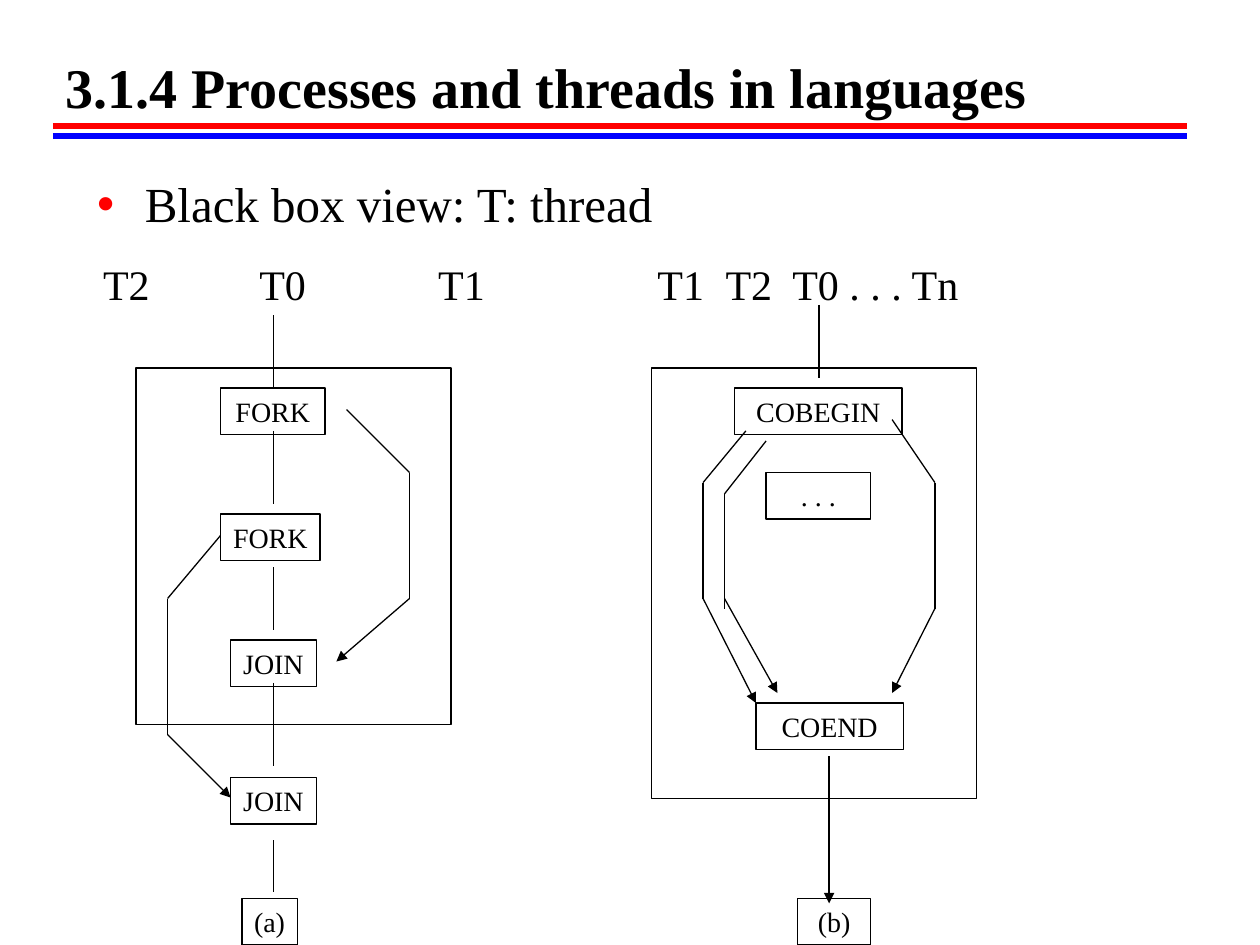
from itertools import pairwise

from lxml.etree import SubElement
from pptx import Presentation
from pptx.dml.color import RGBColor
from pptx.enum.shapes import MSO_CONNECTOR, MSO_SHAPE
from pptx.enum.text import MSO_ANCHOR, MSO_AUTO_SIZE, PP_ALIGN
from pptx.oxml.ns import qn
from pptx.util import Inches, Pt

BLACK = RGBColor(0x00, 0x00, 0x00)
RED = RGBColor(0xFF, 0x00, 0x00)
BLUE = RGBColor(0x00, 0x00, 0xFF)
FONT = "Times New Roman"
BOX_HEIGHT = 0.37

# Boxes: label, left, top, width
FORK_JOIN_BOXES = [
    ("FORK", 1.75, 3.08, 0.83),
    ("FORK", 1.75, 4.08, 0.79),
    ("JOIN", 1.83, 5.08, 0.68),
    ("JOIN", 1.83, 6.17, 0.68),
    ("(a)", 1.92, 7.13, 0.44),
]
COBEGIN_BOXES = [
    ("COBEGIN", 5.83, 3.08, 1.33),
    (". . .", 6.08, 3.75, 0.83),
    ("COEND", 6, 5.58, 1.17),
    ("(b)", 6.33, 7.13, 0.58),
]

# Main thread of the left diagram: x, then start and end of each piece
MAIN_X = 2.17
MAIN_PIECES = [(2.5, 3.08), (3.42, 4), (4.5, 5), (5.42, 6.08), (6.67, 7.08)]

# Threads that end in an arrowhead
THREADS = [
    [(2.75, 3.25), (3.25, 3.75), (3.25, 4.75), (2.67, 5.25)],
    [(1.75, 4.25), (1.33, 4.75), (1.33, 5.83), (1.83, 6.33)],
    [(6.58, 6), (6.58, 7.17)],
    [(7.08, 3.33), (7.42, 3.83), (7.42, 4.83), (7.08, 5.5)],
    [(5.92, 3.42), (5.58, 3.83), (5.58, 4.75), (6, 5.58)],
    [(5.75, 4.75), (6.17, 5.5)],
]

# Thread names and their tab stops, measured from the start of the text
THREAD_NAMES = ["T2", "T0", "T1", "T1", "T2", "T0 . . . Tn"]
NAME_STOPS = [1.24, 2.66, 4.4, 4.94, 5.47]


def place(shape, left, top, width, height):
    shape.left, shape.top = Inches(left), Inches(top)
    shape.width, shape.height = Inches(width), Inches(height)


def write(shape, text, size, anchor, align=PP_ALIGN.LEFT, bold=False, wrap=True):
    frame = shape.text_frame
    frame.text = text
    frame.word_wrap = wrap
    frame.auto_size = MSO_AUTO_SIZE.NONE
    frame.vertical_anchor = anchor
    paragraph = frame.paragraphs[0]
    paragraph.alignment = align
    for run in paragraph.runs:
        run.font.name = FONT
        run.font.size = Pt(size)
        run.font.bold = bold
        run.font.color.rgb = BLACK
    return paragraph


def add_bullet(paragraph, color, indent):
    properties = paragraph._p.get_or_add_pPr()
    properties.set("marL", str(Inches(indent)))
    properties.set("indent", str(-Inches(indent)))
    bullet_color = SubElement(properties, qn("a:buClr"))
    SubElement(bullet_color, qn("a:srgbClr"), val=str(color))
    SubElement(properties, qn("a:buChar"), char="•")


def add_tab_stops(paragraph, stops):
    tab_list = SubElement(paragraph._p.get_or_add_pPr(), qn("a:tabLst"))
    for stop in stops:
        SubElement(tab_list, qn("a:tab"), pos=str(Inches(stop)), algn="l")


def add_line(slide, start, end, color=BLACK, weight=0.75, arrow=False):
    line = slide.shapes.add_connector(
        MSO_CONNECTOR.STRAIGHT, *(Inches(value) for value in (*start, *end)))
    line.line.color.rgb = color
    line.line.width = Pt(weight)
    if arrow:
        SubElement(line.line._get_or_add_ln(), qn("a:tailEnd"), type="triangle")
    SubElement(line._element.spPr, qn("a:effectLst"))


def add_thread(slide, points, arrow=True):
    for start, end in pairwise(points):
        add_line(slide, start, end, arrow=arrow and end == points[-1])


def add_frame(slide, left, top, width, height):
    frame = slide.shapes.add_shape(
        MSO_SHAPE.RECTANGLE, *(Inches(value) for value in (left, top, width, height)))
    frame.shadow.inherit = False
    frame.fill.background()
    frame.line.color.rgb = BLACK
    frame.line.width = Pt(0.75)
    return frame


def add_box(slide, label, left, top, width):
    box = add_frame(slide, left, top, width, BOX_HEIGHT)
    write(box, label, 16, MSO_ANCHOR.MIDDLE, PP_ALIGN.CENTER, wrap=False)


def add_heading(slide):
    title = slide.shapes.title
    place(title, 0.42, 0.25, 9, 0.75)
    write(title, "3.1.4 Processes and threads in languages", 32,
          MSO_ANCHOR.BOTTOM, bold=True)
    for top, color in ((1.08, BLUE), (1, RED)):
        add_line(slide, (0.42, top), (9.42, top), color, weight=3)


def add_body(slide):
    body = slide.placeholders[1]
    place(body, 0.67, 1.33, 8.67, 6.17)
    view = write(body, "Black box view: T: thread", 28, MSO_ANCHOR.TOP)
    view.space_before = Pt(7)
    add_bullet(view, RED, 0.38)


def add_thread_names(slide):
    names = slide.shapes.add_textbox(
        Inches(0.72), Inches(2), Inches(8.53), Inches(0.5))
    row = write(names, "\t".join(THREAD_NAMES), 24, MSO_ANCHOR.MIDDLE)
    add_tab_stops(row, NAME_STOPS)


def main():
    prs = Presentation()
    prs.slide_width, prs.slide_height = Inches(10), Inches(7.5)
    slide = prs.slides.add_slide(prs.slide_layouts[1])

    add_heading(slide)
    add_body(slide)
    add_thread_names(slide)

    # Boxes and the frames around both diagrams
    for label, left, top, width in FORK_JOIN_BOXES + COBEGIN_BOXES:
        add_box(slide, label, left, top, width)
    add_frame(slide, 1.08, 2.92, 2.5, 2.83)
    add_frame(slide, 5.17, 2.92, 2.58, 3.42)

    # Main threads
    for top, bottom in MAIN_PIECES:
        add_line(slide, (MAIN_X, top), (MAIN_X, bottom))
    add_line(slide, (6.5, 2.42), (6.5, 3))

    # Side threads
    for points in THREADS:
        add_thread(slide, points)
    add_thread(slide, [(6.08, 3.5), (5.75, 3.92), (5.75, 4.83)], arrow=False)

    prs.save("out.pptx")


if __name__ == "__main__":
    main()
